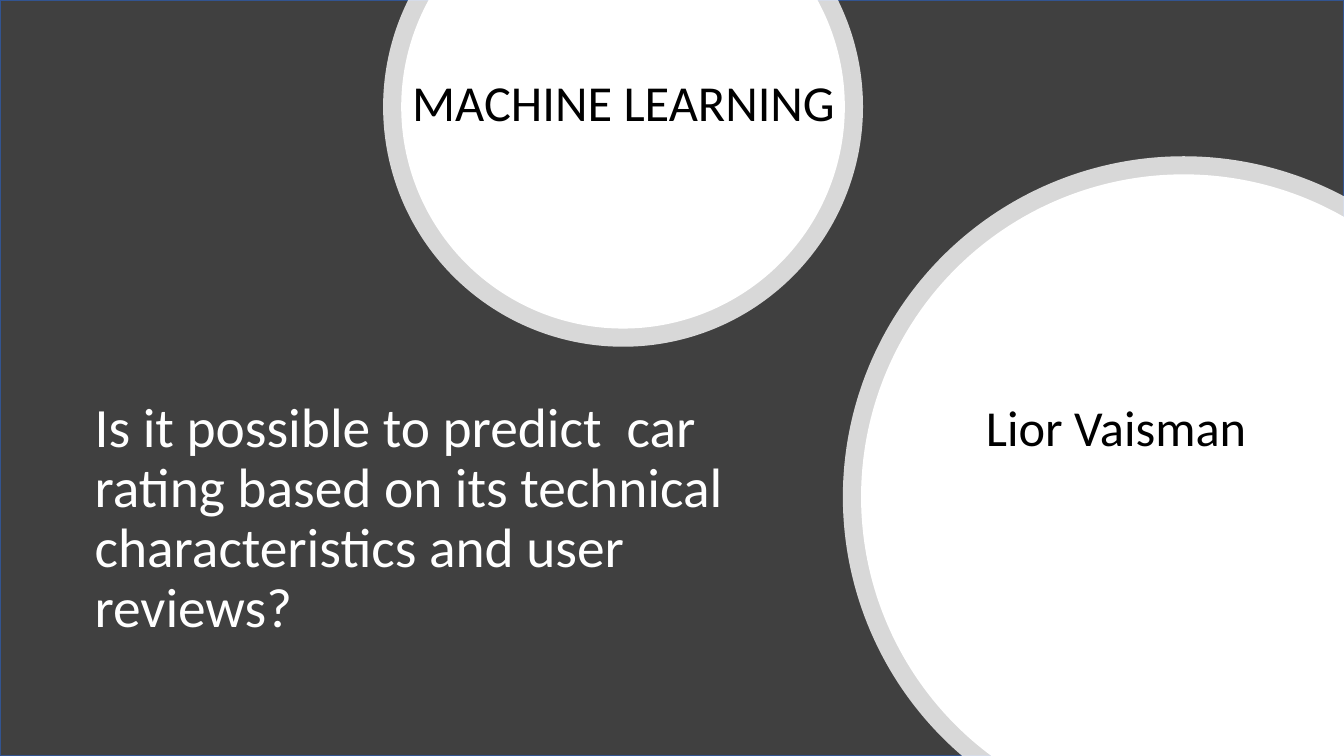
import math
from lxml import etree
from pptx import Presentation, util as u
from pptx.dml.color import RGBColor
from pptx.enum import shapes, text
from pptx.oxml import ns

PX = 9144  # 100 px to the inch
W, H = 1333, 750
DARK = RGBColor(0x40, 0x40, 0x40)
BORDER = RGBColor(0x32, 0x54, 0x91)
WHITE = RGBColor(0xFF, 0xFF, 0xFF)
BLACK = RGBColor(0, 0, 0)

prs = Presentation()
prs.slide_width, prs.slide_height = W * PX, H * PX
s = prs.slides.add_slide(prs.slide_layouts[6])

# Dark backdrop
sp = s.shapes.add_shape(shapes.MSO_SHAPE.RECTANGLE, 0, 0, W * PX, H * PX)
sp.shadow.inherit = False
sp.fill.solid()
sp.fill.fore_color.rgb = DARK
sp.line.color.rgb = BORDER
sp.line.width = u.Pt(1)


def add_disc(cx, cy, radius, angles, corners, opacity):
    """Draw an arc through the angles (degrees), closed by slide corners."""
    pts = [((cx + radius * math.cos(math.radians(a))) * PX,
            (cy + radius * math.sin(math.radians(a))) * PX) for a in angles]
    fb = s.shapes.build_freeform(*pts[0])
    fb.add_line_segments(pts[1:] + [(x * PX, y * PX) for x, y in corners])
    sp = fb.convert_to_shape()
    sp.shadow.inherit = False
    sp.fill.solid()
    sp.fill.fore_color.rgb = WHITE
    sp.line.fill.background()
    # Bend the straight segments between the angles into arcs
    segments = list(sp._element.iter(ns.qn("a:lnTo")))
    for seg, start, end in zip(segments, angles, angles[1:]):
        arc = etree.Element(
            ns.qn("a:arcTo"), wR=str(radius * PX), hR=str(radius * PX),
            stAng=str(round(start % 360 * 60000)),
            swAng=str(round((end - start) * 60000)))
        seg.getparent().replace(seg, arc)
    if opacity < 100:
        clr = sp._element.spPr.find(ns.qn("a:solidFill"))[0]
        etree.SubElement(clr, ns.qn("a:alpha"), val=str(opacity * 1000))


# Discs cut off at the slide edge, each on a wider translucent halo
for rim, opacity in [(18, 80), (0, 100)]:
    cx, cy, radius = 618, 106, 220 + rim
    top = math.degrees(math.asin(cy / radius))
    add_disc(cx, cy, radius, [-top, 0, 90, 180, 180 + top], [], opacity)

    cx, cy, radius = 1174, 493, 320 + rim
    bottom = math.degrees(math.asin((H - cy) / radius))
    right = math.degrees(math.acos((W - cx) / radius))
    add_disc(cx, cy, radius, [180 - bottom, 180, 270, 360 - right],
             [(W, H)], opacity)

# Texts: wording, box, bottom inset, alignment, size, colour
texts = [
    ("Is it possible to predict  car rating based on its technical "
     "characteristics and user reviews?",
     (84, 383, 735, 265), 5, text.PP_ALIGN.LEFT, 39.6, WHITE),
    ("MACHINE LEARNING",
     (257, 41, 581, 196), 74, text.PP_ALIGN.RIGHT, 36, BLACK),
    ("Lior Vaisman",
     (917, 344, 380, 304), 143, text.PP_ALIGN.CENTER, 36, BLACK),
]
for words, box, inset, align, size, color in texts:
    tf = s.shapes.add_textbox(*(v * PX for v in box)).text_frame
    frame_format = {"word_wrap": True, "margin_bottom": inset * PX,
                    "vertical_anchor": text.MSO_ANCHOR.MIDDLE}
    for name, value in frame_format.items():
        setattr(tf, name, value)
    p = tf.paragraphs[0]
    p.alignment = align
    p.line_spacing = 0.9
    r = p.add_run()
    r.text = words
    for name, value in {"name": "Calibri", "size": u.Pt(size)}.items():
        setattr(r.font, name, value)
    r.font.color.rgb = color

prs.save("out.pptx")
